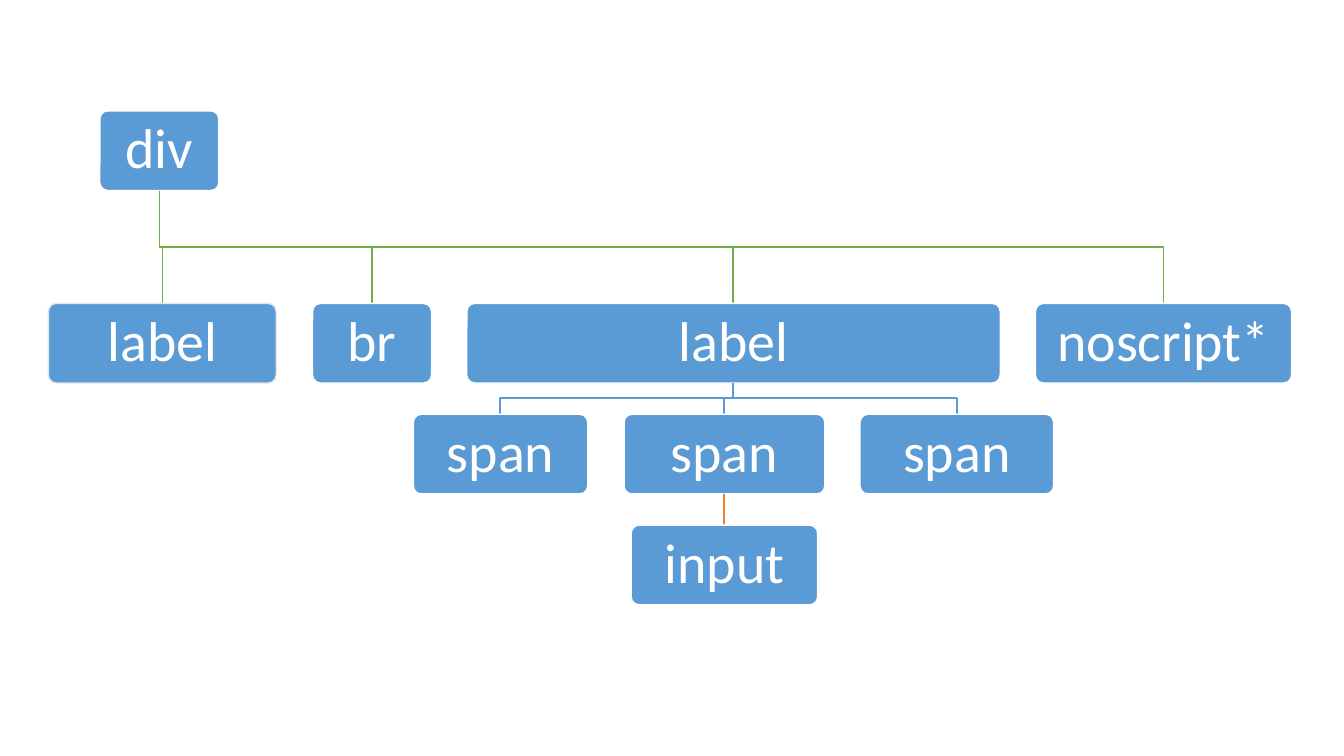
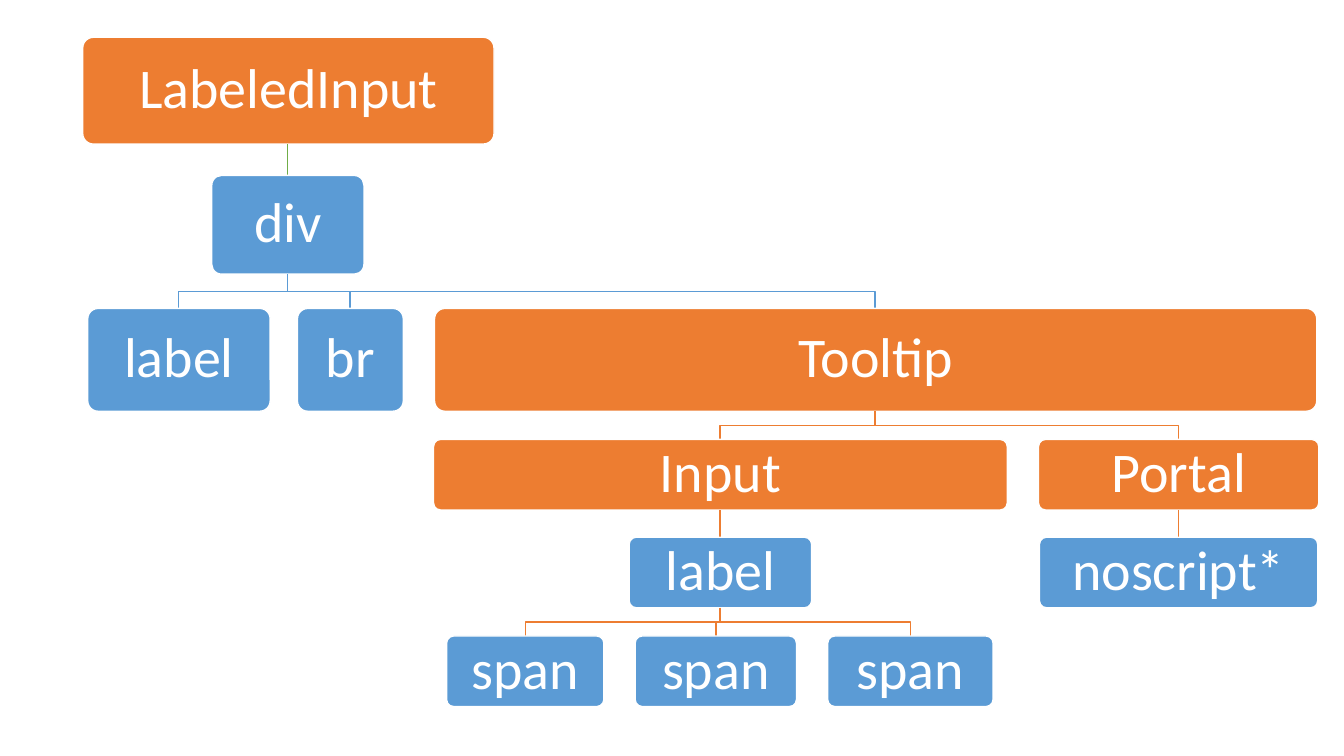
from dataclasses import dataclass

import lxml.etree
import pptx
import pptx.dml.color
import pptx.enum.shapes
import pptx.enum.text
import pptx.oxml.ns
import pptx.util

# Shared style; lengths are px, 100 to the inch
PX = 9144
SLIDE_SIZE = (1333, 750)
FONT = "Calibri"
BLUE, ORANGE, GREEN = "5B9BD5", "ED7D31", "70AD47"
WHITE, PALE_GREY = "FFFFFF", "E7E7E7"
INSET = 19
STRAIGHT_TOLERANCE = 2


@dataclass(frozen=True)
class Level:
    """One row of a tree, with the colour of the branches below it."""
    top: int
    height: int
    branch: str = ORANGE

    @property
    def bottom(self) -> int:
        return self.top + self.height


@dataclass(frozen=True)
class Node:
    """One box of a tree: HTML elements are blue, components orange."""
    label: str
    left: int
    width: int
    children: tuple["Node", ...] = ()
    fill: str = BLUE
    outline: str = WHITE

    @property
    def center(self) -> int:
        return self.left + self.width // 2


@dataclass(frozen=True)
class Tree:
    levels: tuple[Level, ...]
    root: Node


# Rendered HTML elements
ELEMENT_TREE = Tree(
    levels=tuple(Level(top, 79, branch) for top, branch in
                 ((110, GREEN), (301, BLUE), (411, ORANGE), (521, ORANGE))),
    root=Node("div", 99, 118, (
        Node("label", 48, 226, outline=PALE_GREY),
        Node("br", 310, 118),
        Node("label", 463, 529, (
            Node("span", 410, 173),
            Node("span", 619, 199, (Node("input", 626, 185),)),
            Node("span", 853, 192),
        )),
        Node("noscript*", 1027, 254),
    )),
)

# Components together with the elements they render
COMPONENT_TREE = Tree(
    levels=(Level(37, 106, GREEN), Level(174, 98, BLUE), Level(306, 102),
            Level(436, 70), Level(533, 70), Level(631, 70)),
    root=Node("LabeledInput", 82, 408, (
        Node("div", 210, 151, (
            Node("label", 87, 181),
            Node("br", 295, 105),
            Node("Tooltip", 431, 875, (
                Node("Input", 430, 569, (
                    Node("label", 624, 181, (
                        Node("span", 443, 156),
                        Node("span", 630, 160),
                        Node("span", 821, 164),
                    )),
                ), fill=ORANGE),
                Node("Portal", 1030, 278, (
                    Node("noscript*", 1031, 276),
                ), fill=ORANGE),
            ), fill=ORANGE),
        )),
    ), fill=ORANGE),
)


def px(length: int) -> pptx.util.Emu:
    return pptx.util.Emu(length * PX)


def rgb(color: str) -> pptx.dml.color.RGBColor:
    return pptx.dml.color.RGBColor.from_string(color)


def set_line(shape, color: str) -> None:
    shape.line.color.rgb = rgb(color)
    shape.line.width = pptx.util.Pt(1)


def write_text(shape, text: str, *, size: int = 40, color: str = WHITE) -> None:
    frame = shape.text_frame
    frame.word_wrap = True
    frame.vertical_anchor = pptx.enum.text.MSO_ANCHOR.MIDDLE
    frame.margin_left = frame.margin_right = px(INSET)
    frame.margin_top = frame.margin_bottom = px(INSET)
    paragraph = frame.paragraphs[0]
    paragraph.alignment = pptx.enum.text.PP_ALIGN.CENTER
    paragraph.line_spacing = 0.9
    run = paragraph.add_run()
    run.text = text
    run.font.name = FONT
    run.font.size = pptx.util.Pt(size)
    run.font.color.rgb = rgb(color)


def draw_box(slide, node: Node, level: Level) -> None:
    box = slide.shapes.add_shape(
        pptx.enum.shapes.MSO_SHAPE.ROUNDED_RECTANGLE,
        px(node.left), px(level.top), px(node.width), px(level.height))
    box.adjustments[0] = 0.1
    box.shadow.inherit = False
    box.fill.solid()
    box.fill.fore_color.rgb = rgb(node.fill)
    set_line(box, node.outline)
    write_text(box, node.label)


def draw_branch(slide, parent: Node, child: Node, upper: Level, lower: Level) -> None:
    """Join two boxes by a straight line or, if they are offset, an elbow."""
    start, end = upper.bottom, lower.top
    if abs(parent.center - child.center) <= STRAIGHT_TOLERANCE:
        branch = slide.shapes.add_connector(
            pptx.enum.shapes.MSO_CONNECTOR.STRAIGHT,
            px(child.center), px(start), px(child.center), px(end))
        lxml.etree.SubElement(branch._element.spPr, pptx.oxml.ns.qn("a:effectLst"))
    else:
        middle = (start + end) // 2
        outline = slide.shapes.build_freeform(parent.center, start, scale=PX)
        outline.add_line_segments(
            [(parent.center, middle), (child.center, middle), (child.center, end)],
            close=False)
        branch = outline.convert_to_shape()
        branch.fill.background()
        branch.shadow.inherit = False
    set_line(branch, upper.branch)


def draw_subtree(slide, node: Node, levels: tuple[Level, ...]) -> None:
    draw_box(slide, node, levels[0])
    for child in node.children:
        draw_branch(slide, node, child, levels[0], levels[1])
        draw_subtree(slide, child, levels[1:])


def main() -> None:
    deck = pptx.Presentation()
    deck.slide_width, deck.slide_height = map(px, SLIDE_SIZE)
    blank = deck.slide_layouts[6]
    for tree in (ELEMENT_TREE, COMPONENT_TREE):
        draw_subtree(deck.slides.add_slide(blank), tree.root, tree.levels)
    deck.save("out.pptx")


if __name__ == "__main__":
    main()
